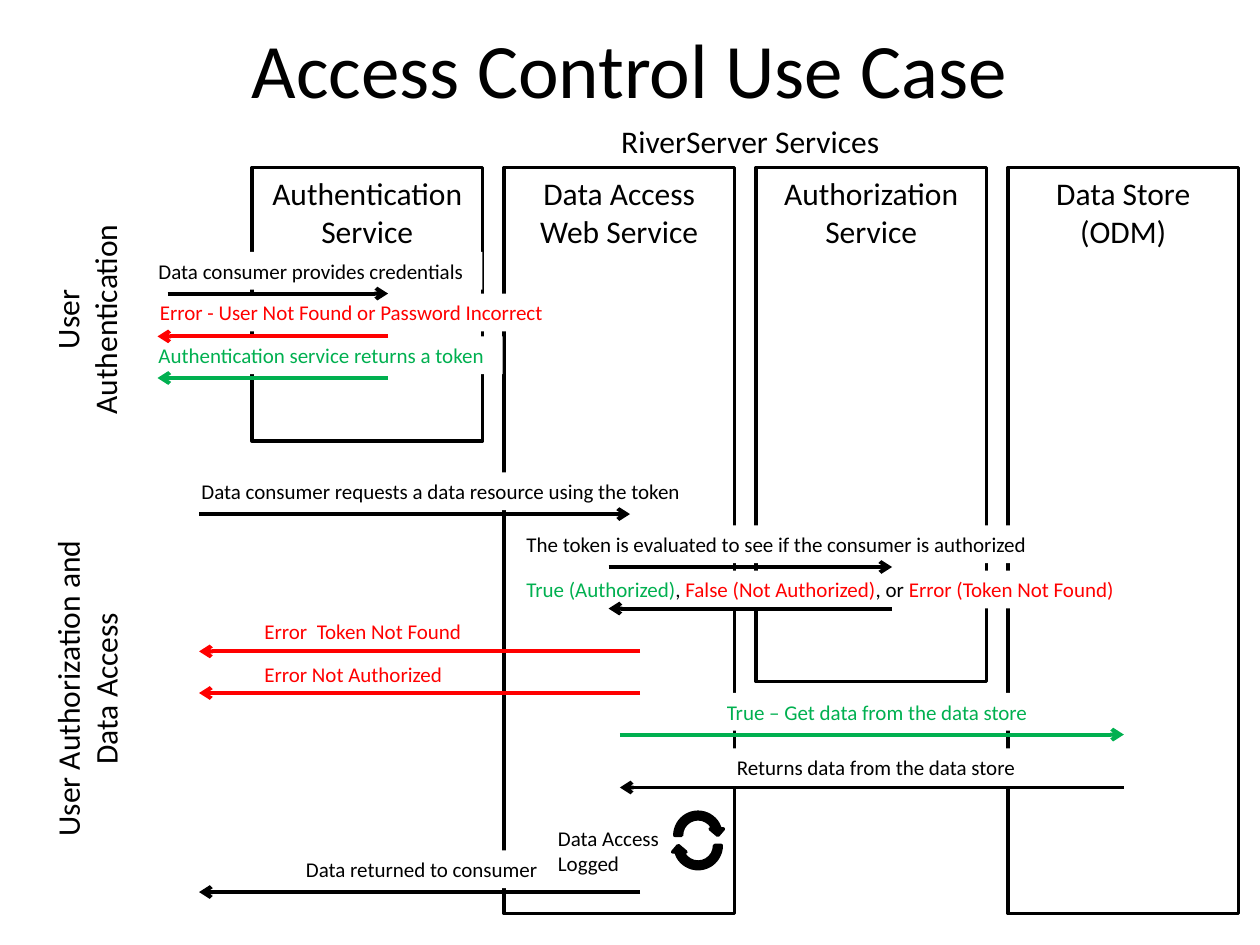
from dataclasses import dataclass
from typing import Any

from lxml import etree
from pptx import Presentation
from pptx import util as u
from pptx.dml.color import RGBColor
from pptx.enum import shapes, text
from pptx.oxml.ns import qn

BLACK, WHITE, RED, GREEN = "000000", "FFFFFF", "FF0000", "00B050"


def rgb(value):
    """Turn a hex string into a colour."""
    return RGBColor.from_string(value)


def write(shape, content, size=12, color=BLACK, align=text.PP_ALIGN.LEFT,
          anchor=text.MSO_ANCHOR.TOP, wrap=True, font="Calibri"):
    """Fill a shape with text: a string, or a list of (words, colour) runs."""
    frame = shape.text_frame
    frame.word_wrap = wrap
    frame.vertical_anchor = anchor
    if isinstance(content, str):
        lines = [[(line, color)] for line in content.split("\n")]
    else:
        lines = [content]
    for index, line in enumerate(lines):
        paragraph = frame.paragraphs[0] if index == 0 else frame.add_paragraph()
        paragraph.alignment = align
        for words, tint in line:
            run = paragraph.add_run()
            run.text = words
            run.font.name = font
            run.font.size = u.Pt(size)
            run.font.color.rgb = rgb(tint)


@dataclass
class Diagram:
    """Style and current slide of the sequence diagram."""
    slide: Any
    border: float = 2
    arrow_width: float = 2.25

    def caption(self, box, content, rotation=0, **style):
        """Add unfilled text."""
        caption = self.slide.shapes.add_textbox(*map(u.Inches, box))
        caption.rotation = rotation
        write(caption, content, **style)

    def block(self, box, kind=shapes.MSO_SHAPE.RECTANGLE, fill=WHITE,
              outline=BLACK, rotation=0):
        """Add a filled preset shape, with or without an outline."""
        block = self.slide.shapes.add_shape(kind, *map(u.Inches, box))
        block.shadow.inherit = False
        block.rotation = rotation
        block.fill.solid()
        block.fill.fore_color.rgb = rgb(fill)
        if outline:
            block.line.color.rgb = rgb(outline)
            block.line.width = u.Pt(self.border)
        else:
            block.line.fill.background()
        return block

    def label(self, left, top, width, content, color):
        """Add a message label that masks what lies behind it."""
        label = self.block((left, top, width, 0.3), outline=None)
        write(label, content, color=color)

    def arrow(self, start, end, y, color):
        """Add a horizontal arrow from start to end."""
        arrow = self.slide.shapes.add_connector(
            shapes.MSO_CONNECTOR.STRAIGHT, *map(u.Inches, (start, y, end, y)))
        arrow.line.color.rgb = rgb(color)
        arrow.line.width = u.Pt(self.arrow_width)
        etree.SubElement(arrow.line._get_or_add_ln(), qn("a:tailEnd"), type="arrow")
        etree.SubElement(arrow._element.spPr, qn("a:effectLst"))


deck = Presentation()
deck.slide_width, deck.slide_height = u.Inches(10), u.Inches(7.5)
diagram = Diagram(deck.slides.add_slide(deck.slide_layouts[6]))
CENTER = text.PP_ALIGN.CENTER

# Service columns, left to right: heading and height
services = [
    ("Authentication\nService", 2.17),
    ("Data Access Web Service", 5.92),
    ("Authorization\nService", 4.08),
    ("Data Store (ODM)", 5.92),
]
for column, (heading, height) in enumerate(services):
    left = 2 + 2 * column
    diagram.block((left, 1.33, 1.83, height))
    diagram.caption((left, 1.33, 1.83, 0.71), heading, size=18, align=CENTER)

diagram.caption((0, 0, 10, 1.08), "Access Control Use Case", size=44,
                align=CENTER, anchor=text.MSO_ANCHOR.MIDDLE)
diagram.caption((3.83, 0.92, 4.25, 0.4), "RiverServer Services", size=18, align=CENTER)

# Messages: label left, top, width, wording, colour; arrow start, end, y
decision = [("True (Authorized)", GREEN), (", ", BLACK),
            ("False (Not Authorized)", RED), (", or ", BLACK),
            ("Error (Token Not Found)", RED)]
messages = [
    (1.16, 2, 2.67, "Data consumer provides credentials", BLACK, 1.33, 3.08, 2.33),
    (1.17, 2.33, 3.25, "Error - User Not Found or Password Incorrect", RED,
     3.08, 1.25, 2.67),
    (1.16, 2.67, 2.83, "Authentication service returns a token", GREEN, 3.08, 1.25, 3),
    (1.5, 3.75, 4.25, "Data consumer requests a data resource using the token", BLACK,
     1.58, 5, 4.08),
    (4.08, 4.17, 4.42, "The token is evaluated to see if the consumer is authorized",
     BLACK, 4.83, 7.08, 4.5),
    (4.08, 4.53, 5.08, decision, BLACK, 7.08, 4.83, 4.83),
    (2, 4.86, 1.92, "Error  Token Not Found", RED, 5.08, 1.58, 5.17),
    (2, 5.2, 1.67, "Error Not Authorized", RED, 5.08, 1.58, 5.5),
    (5.67, 5.5, 2.92, "True – Get data from the data store", GREEN, 4.92, 8.92, 5.83),
    (5.75, 5.94, 2.42, "Returns data from the data store", BLACK, 8.92, 4.92, 6.25),
    (2.33, 6.75, 2.5, "Data returned to consumer", BLACK, 5.08, 1.58, 7.08),
]
for left, top, width, wording, color, *_ in messages:
    diagram.label(left, top, width, wording, color)

# Logging loop
diagram.caption((4.33, 6.5, 1.17, 0.5), "Data Access Logged")
for top, rotation in ((6.42, 0), (6.5, 180)):
    diagram.block((5.33, top, 0.42, 0.42), shapes.MSO_SHAPE.CIRCULAR_ARROW,
                  fill=BLACK, rotation=rotation)

# Arrows lie above every label
for *_, color, start, end, y in messages:
    diagram.arrow(start, end, y, color)

# Phases
for box, phase in (((-0.18, 2.18, 1.73, 0.71), "User\nAuthentication"),
                   ((-0.6, 5.11, 2.58, 0.71), "User Authorization and\nData Access")):
    diagram.caption(box, phase, rotation=270, size=18, align=CENTER, wrap=False)

deck.save("out.pptx")
